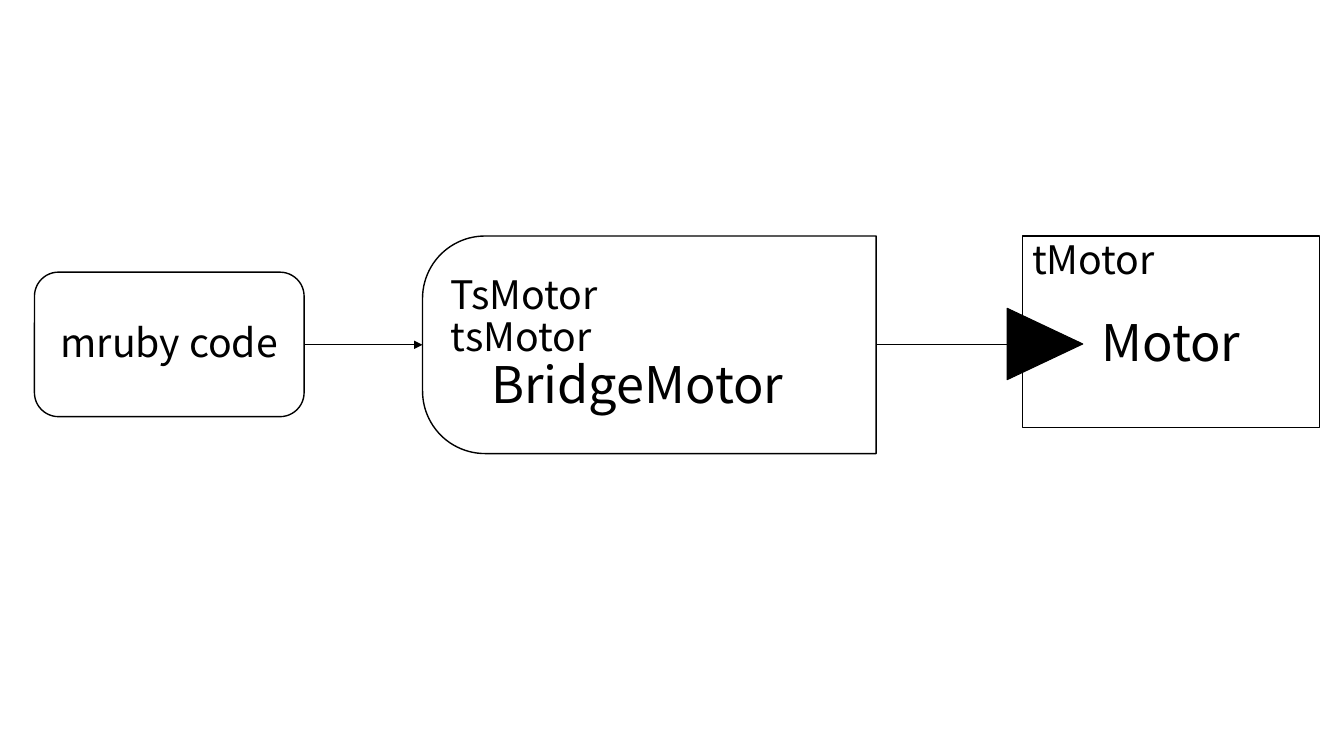
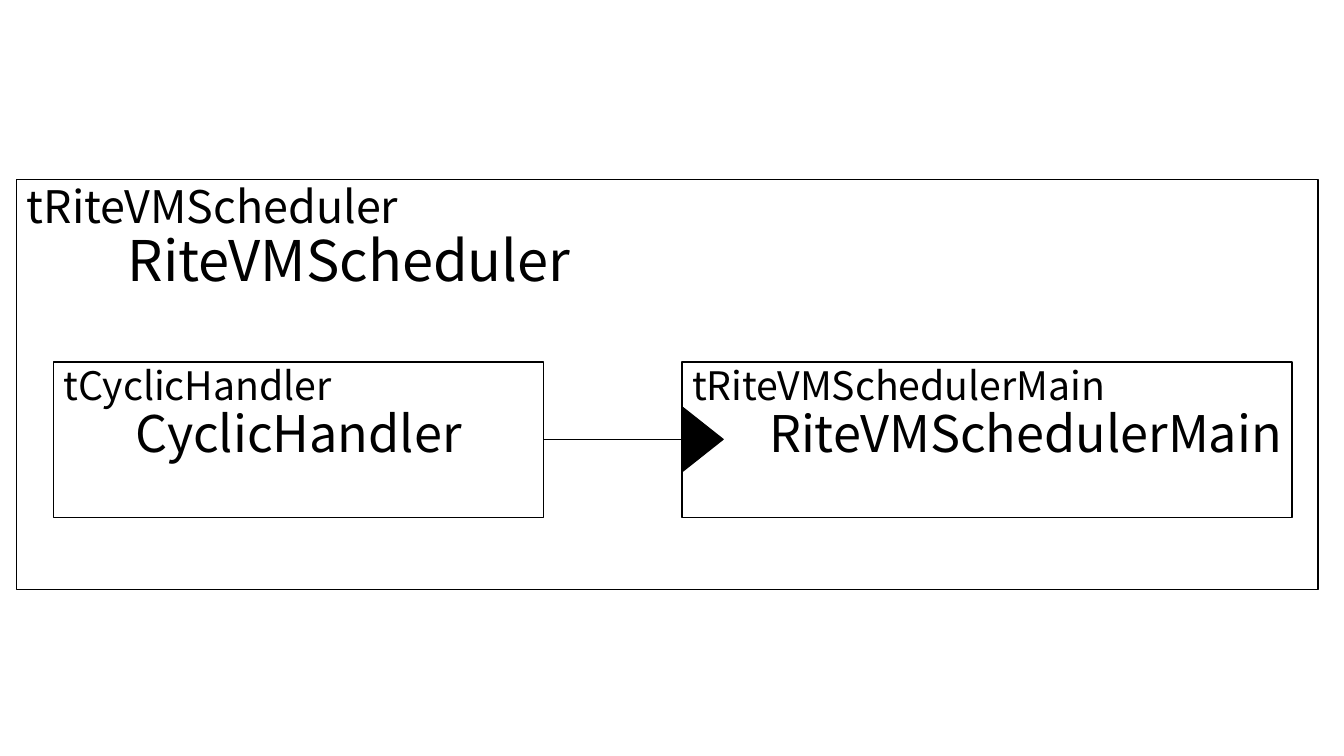
"""Draws two component diagrams: a motor bridge and a scheduler."""
import pptx
import pptx.util
import pptx.dml.color
import pptx.enum.shapes
import pptx.enum.text
import pptx.oxml

KIND = pptx.enum.shapes.MSO_SHAPE
SIDE = pptx.enum.text.PP_ALIGN
ANCHOR = pptx.enum.text.MSO_ANCHOR
FONT = "Noto Sans CJK JP"
INK, PAPER = "000000", "FFFFFF"
NS = 'xmlns:a="http://schemas.openxmlformats.org/drawingml/2006/main"'

deck = pptx.Presentation()
deck.slide_width = pptx.util.Inches(13.33)
deck.slide_height = pptx.util.Inches(7.5)
COL = deck.slide_width / 160
ROW = deck.slide_height / 90


def color(code):
    return pptx.dml.color.RGBColor.from_string(code)


def draw(slide, kind, place, fill=PAPER, width=1, turn=0, lines=(), anchor=ANCHOR.TOP):
    left, top, wide, high = (
        int(n * unit) for n, unit in zip(place, (COL, ROW, COL, ROW)))
    if turn:
        left, top = left + (wide - high) // 2, top + (high - wide) // 2
        wide, high = high, wide
    shape = slide.shapes.add_shape(kind, left, top, wide, high)
    shape.rotation = turn
    shape.shadow.inherit = False
    if fill:
        shape.fill.solid()
        shape.fill.fore_color.rgb = color(fill)
    else:
        shape.fill.background()
    shape.line.color.rgb = color(INK)
    shape.line.width = pptx.util.Pt(width)
    frame = shape.text_frame
    frame.word_wrap = True
    frame.vertical_anchor = anchor
    for i, (text, size, form) in enumerate(lines):
        para = frame.add_paragraph() if i else frame.paragraphs[0]
        look = {"alignment": SIDE.LEFT, "line_spacing": 0.9, **form}
        indent = look.pop("indent", 0)
        if indent:
            para._p.get_or_add_pPr().set("marL", str(int(indent * COL)))
        for name, value in look.items():
            setattr(para, name, value)
        para.add_run().text = text
        for name, value in {"name": FONT, "size": pptx.util.Pt(size)}.items():
            setattr(para.font, name, value)
            setattr(para.runs[0].font, name, value)
        para.runs[0].font.color.rgb = color(INK)
    return shape


motor, sched = (deck.slides.add_slide(deck.slide_layouts[6]) for _ in range(2))
MID, CORE = 41.05, 52.3

draw(motor, KIND.ROUNDED_RECTANGLE, (4.1, 32.4, 32.1, 17.2), anchor=ANCHOR.MIDDLE,
     lines=[("mruby code", 28, {"alignment": SIDE.CENTER})])
bridge = draw(motor, KIND.ROUND_2_SAME_RECTANGLE, (50.3, 28.1, 54, 25.9), turn=90,
              anchor=ANCHOR.MIDDLE,
              lines=[("TsMotor", 28, {}), ("tsMotor", 28, {}),
                     ("BridgeMotor", 36, {"indent": 4.8})])
bridge.adjustments[0], bridge.adjustments[1] = 0, 0.287
bridge.text_frame._txBody.bodyPr.set("vert", "vert270")
draw(motor, KIND.RECTANGLE, (121.7, 28.1, 35.4, 22.8),
     lines=[("tMotor", 28, {}),
            ("Motor", 36, {"alignment": SIDE.CENTER, "space_before": pptx.util.Pt(25)})])

draw(sched, KIND.RECTANGLE, (2, 21.4, 154.9, 48.8), fill=None,
     lines=[("tRiteVMScheduler", 32, {}), ("RiteVMScheduler", 40, {"indent": 12})])
for left, wide, name, side in (
        (6.4, 58.3, "CyclicHandler", SIDE.CENTER),
        (81.2, 72.6, "RiteVMSchedulerMain", SIDE.RIGHT)):
    draw(sched, KIND.RECTANGLE, (left, 43.1, wide, 18.5),
         lines=[("t" + name, 28, {}), (name, 36, {"alignment": side})])

for slide, left, wide, high, mid in (
        (motor, 119.9, 9, 8.5, MID - 0.1), (sched, 81.3, 4.8, 7.6, CORE)):
    draw(slide, KIND.ISOSCELES_TRIANGLE, (left, mid - high / 2, wide, high),
         fill=INK, width=0.75, turn=90)

for slide, start, end, mid, head in (
        (motor, 36.2, 50.3, MID, True),
        (motor, 104.3, 125.3, MID, False),
        (sched, 64.7, 81.2, CORE, False)):
    link = slide.shapes.add_connector(
        pptx.enum.shapes.MSO_CONNECTOR.STRAIGHT,
        int(start * COL), int(mid * ROW), int(end * COL), int(mid * ROW))
    link.line.color.rgb = color(INK)
    link.line.width = pptx.util.Pt(0.75)
    if head:
        link.line._get_or_add_ln().append(
            pptx.oxml.parse_xml(f'<a:tailEnd {NS} type="triangle"/>'))
    link._element.spPr.append(pptx.oxml.parse_xml(f"<a:effectLst {NS}/>"))

deck.save("out.pptx")
